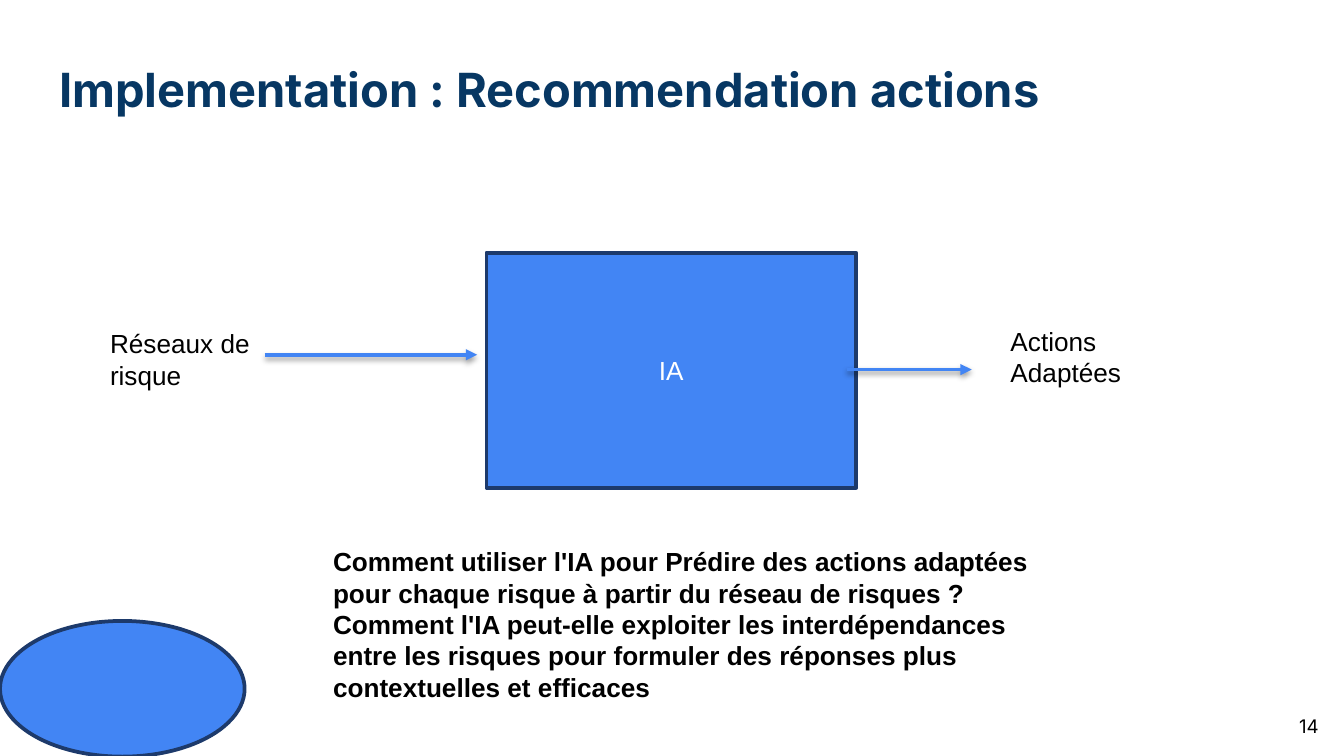
from lxml.etree import SubElement
from pptx import Presentation
from pptx.dml.color import RGBColor
from pptx.enum.shapes import MSO_CONNECTOR, MSO_SHAPE
from pptx.enum.text import MSO_ANCHOR, MSO_AUTO_SIZE, PP_ALIGN
from pptx.oxml.ns import qn
from pptx.util import Inches, Pt

BLUE = "4285F4"
NAVY = "1D3A6B"
TITLE_BLUE = "073763"
BLACK = "000000"
WHITE = "FFFFFF"


def color(hex_value):
    return RGBColor.from_string(hex_value)


def write_text(shape, text, size, font_name, hex_value, bold=False,
               alignment=PP_ALIGN.LEFT, anchor=MSO_ANCHOR.TOP):
    frame = shape.text_frame
    frame.text = text
    frame.word_wrap = True
    frame.vertical_anchor = anchor
    paragraph = frame.paragraphs[0]
    paragraph.alignment = alignment
    paragraph.font.size = Pt(size)
    paragraph.font.name = font_name
    paragraph.font.bold = bold
    paragraph.font.color.rgb = color(hex_value)


def set_margins(shape, inches):
    frame = shape.text_frame
    frame.margin_left = frame.margin_right = Inches(inches)
    frame.margin_top = frame.margin_bottom = Inches(inches)


def add_title(slide, text):
    title = slide.shapes.title
    title.left, title.top = Inches(0.34), Inches(0.35)
    title.width, title.height = Inches(9.32), Inches(0.63)
    write_text(title, text, 25.2, "Inter", TITLE_BLUE, bold=True)
    title.text_frame.auto_size = MSO_AUTO_SIZE.NONE
    set_margins(title, 0.1)


def add_slide_number(slide, number):
    box = slide.shapes.add_textbox(Inches(9.31), Inches(5.19), Inches(0.6), Inches(0.43))
    write_text(box, number, 10, "Inter", BLACK,
               alignment=PP_ALIGN.RIGHT, anchor=MSO_ANCHOR.MIDDLE)
    set_margins(box, 0.1)


def add_label(slide, text, left, top, width, height, bold=False):
    box = slide.shapes.add_textbox(Inches(left), Inches(top), Inches(width), Inches(height))
    write_text(box, text, 14, "Arial", BLACK, bold=bold)
    box.text_frame.auto_size = MSO_AUTO_SIZE.SHAPE_TO_FIT_TEXT


def add_block(slide, kind, left, top, width, height):
    shape = slide.shapes.add_shape(kind, Inches(left), Inches(top), Inches(width), Inches(height))
    shape.shadow.inherit = False
    shape.fill.solid()
    shape.fill.fore_color.rgb = color(BLUE)
    shape.line.color.rgb = color(NAVY)
    shape.line.width = Pt(2)
    return shape


def add_arrow(slide, start, end, y):
    arrow = slide.shapes.add_connector(
        MSO_CONNECTOR.STRAIGHT, Inches(start), Inches(y), Inches(end), Inches(y))
    arrow.line.color.rgb = color(BLUE)
    arrow.line.width = Pt(2)
    properties = arrow._element.spPr
    SubElement(properties.find(qn("a:ln")), qn("a:tailEnd"), type="triangle")
    effects = SubElement(properties, qn("a:effectLst"))
    shadow = SubElement(effects, qn("a:outerShdw"), blurRad=str(Pt(3.1)),
                        dist=str(Pt(1.6)), dir="5400000", rotWithShape="0")
    shade = SubElement(shadow, qn("a:srgbClr"), val=BLACK)
    SubElement(shade, qn("a:alpha"), val="38000")


def main():
    presentation = Presentation()
    presentation.slide_width = Inches(10)
    presentation.slide_height = presentation.slide_width * 9 // 16
    slide = presentation.slides.add_slide(presentation.slide_layouts[5])

    add_title(slide, "Implementation : Recommendation actions")
    add_slide_number(slide, "14")

    add_block(slide, MSO_SHAPE.OVAL, 0, 4.62, 1.82, 1.01)
    model = add_block(slide, MSO_SHAPE.RECTANGLE, 3.62, 1.88, 2.75, 1.75)
    write_text(model, "IA", 14, "Arial", WHITE,
               alignment=PP_ALIGN.CENTER, anchor=MSO_ANCHOR.MIDDLE)

    add_arrow(slide, 1.97, 3.55, 2.64)
    add_arrow(slide, 6.3, 7.23, 2.75)

    add_label(slide, "Réseaux de risque", 0.72, 2.39, 1.32, 0.57)
    add_label(slide, "Actions Adaptées", 7.42, 2.37, 1.15, 0.57)
    add_label(
        slide,
        "Comment utiliser l'IA pour Prédire des actions adaptées pour chaque risque "
        "à partir du réseau de risques ? Comment l'IA peut-elle exploiter les "
        "interdépendances entre les risques pour formuler des réponses plus "
        "contextuelles et efficaces",
        2.38, 4.01, 5.67, 1.28, bold=True)

    presentation.save("out.pptx")


if __name__ == "__main__":
    main()
